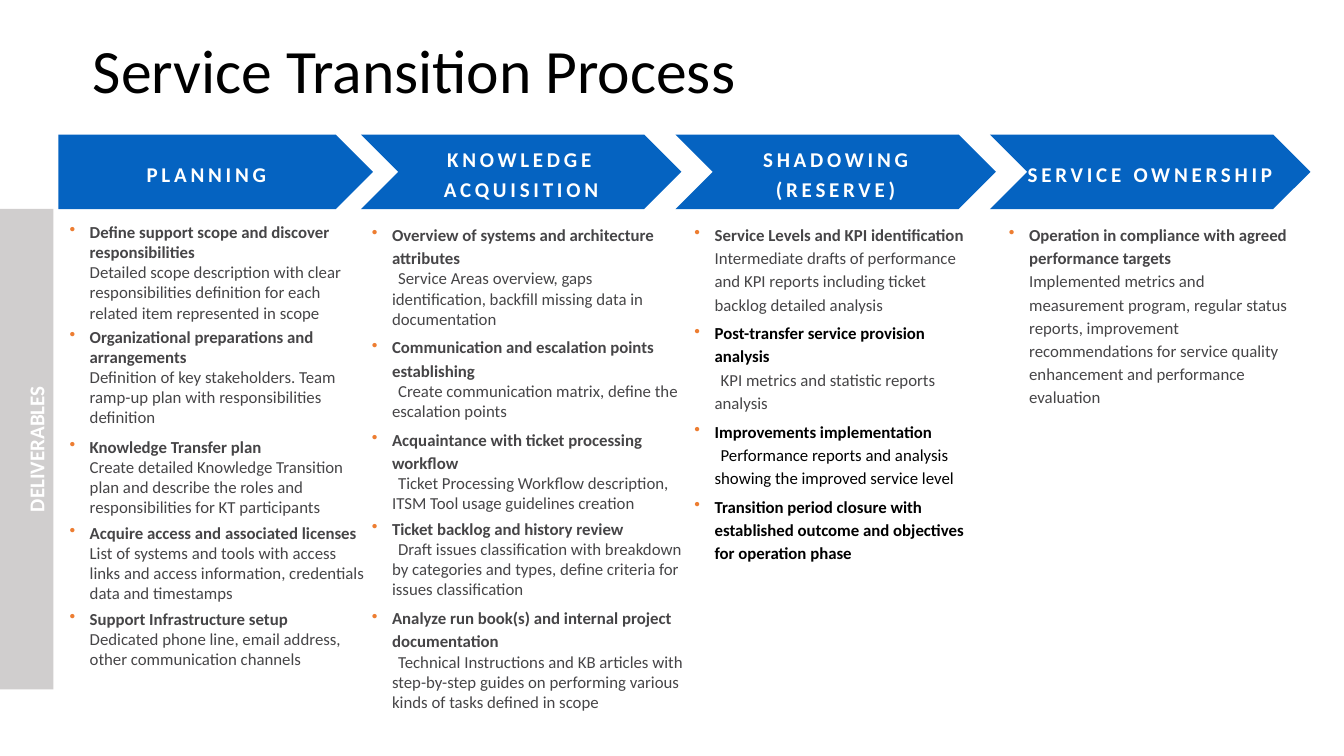
from dataclasses import dataclass

from lxml import etree
from pptx import Presentation, util as u
from pptx.dml.color import RGBColor
from pptx.enum import shapes as s, text as t
from pptx.oxml.ns import qn

HUES = {"blue": "0563C1", "grey": "D0CECE", "text": "464547",
        "dot": "ED7D31", "white": "FFFFFF", "black": "000000"}
FACE = "Calibri"
WIDE, HIGH = u.Inches(13.33), u.Inches(7.5)
COL, ROW = WIDE / 100, HIGH / 100  # the grid has 100 columns and 100 rows
STEP, START = 23.4, 3.45           # stage pitch and first left edge, in columns
HANG = u.Inches(0.2)
NUDGE = u.Inches(0.06)             # first-line indent of a body paragraph


@dataclass
class Item:
    head: str
    body: str = ""
    split: bool = False   # the body is a paragraph of its own
    lead: float = 1.0     # line spacing of the head
    flow: float = 1.0     # line spacing of a split body
    before: float = 0
    after: float = 0
    hue: str = "text"
    tone: str = "text"    # colour of a split body


@dataclass
class Stage:
    name: str
    left: float
    width: float
    height: float
    items: list[Item]


STAGES = [
    Stage("PLANNING", 4.2, 23.4, 63.6, [
        Item("Define support scope and discover responsibilities",
             "Detailed scope description with clear responsibilities definition "
             "for each related item represented in scope"),
        Item("Organizational preparations and arrangements",
             "Definition of key stakeholders. Team ramp-up plan with "
             "responsibilities definition", before=2.7, after=4),
        Item("Knowledge Transfer plan",
             "Create detailed Knowledge Transition plan and describe the roles "
             "and responsibilities for KT participants", before=2.7, after=4),
        Item("Acquire access and associated licenses",
             "List of systems and tools with access links and access "
             "information, credentials data and timestamps"),
        Item("Support Infrastructure setup",
             "Dedicated phone line, email address, other communication channels",
             before=4),
    ]),
    Stage("KNOWLEDGE ACQUISITION", 26.7, 24.23, 68.9, [
        Item("Overview of systems and architecture attributes",
             "Service Areas overview, gaps identification, backfill missing "
             "data in documentation", True, 1.15, after=4),
        Item("Communication and escalation points establishing",
             "Create communication matrix, define the escalation points",
             True, 1.15, after=4),
        Item("Acquaintance with ticket processing workflow",
             "Ticket Processing Workflow description, ITSM Tool usage "
             "guidelines creation", True, 1.15, after=4),
        Item("Ticket backlog and history review",
             "Draft issues classification with breakdown by categories and "
             "types, define criteria for issues classification", True, after=4),
        Item("Analyze run book(s) and internal project documentation",
             "Technical Instructions and KB articles with step-by-step guides "
             "on performing various kinds of tasks defined in scope", True, 1.15),
    ]),
    Stage("SHADOWING\n(RESERVE)", 50.7, 21.68, 69, [
        Item("Service Levels and KPI identification",
             "Intermediate drafts of performance and KPI reports including "
             "ticket backlog detailed analysis", lead=1.15, after=4),
        Item("Post-transfer service provision analysis",
             "KPI metrics and statistic reports analysis",
             True, 1.15, 1.15, after=4, hue="black"),
        Item("Improvements implementation",
             "Performance reports and analysis showing the improved service "
             "level", True, 1.15, 1.15, hue="black", tone="black"),
        Item("Transition period closure with established outcome and "
             "objectives for operation phase", lead=1.15, before=4, hue="black"),
    ]),
    Stage("SERVICE OWNERSHIP", 74.1, 21.98, 30, [
        Item("Operation in compliance with agreed performance targets",
             "Implemented metrics and measurement program, regular status "
             "reports, improvement recommendations for service quality "
             "enhancement and performance evaluation", lead=1.15),
    ]),
]


def place(left: float, top: float, width: float, height: float) -> list[int]:
    """Turn grid columns and rows into slide lengths."""
    return [round(left * COL), round(top * ROW),
            round(width * COL), round(height * ROW)]


def paint(para, size: float, hue: str, bold: bool | None = None) -> None:
    font = para.font
    font.name, font.size, font.bold = FACE, u.Pt(size), bold
    font.color.rgb = RGBColor.from_string(HUES[hue])


def space(para, lead, before: float = 0, after: float = 0) -> None:
    para.line_spacing = lead
    para.space_before, para.space_after = u.Pt(before), u.Pt(after)


def indent(para, first: int, dot: bool = False) -> None:
    props = para._p.get_or_add_pPr()
    props.set("marL", str(HANG))
    props.set("indent", str(first))
    if dot:
        tint = etree.SubElement(props, qn("a:buClr"))
        etree.SubElement(tint, qn("a:srgbClr")).set("val", HUES["dot"])
        etree.SubElement(props, qn("a:buChar")).set("char", "•")


def add_frame(slide, box: list[int], inset: float = 0):
    frame = slide.shapes.add_textbox(*box).text_frame
    frame.word_wrap = True
    frame.margin_left = u.Inches(inset)
    frame.margin_top = frame.margin_right = frame.margin_bottom = 0
    return frame


def add_block(slide, kind, box: list[int], hue: str):
    block = slide.shapes.add_shape(kind, *box)
    block.shadow.inherit = False
    block.fill.solid()
    block.fill.fore_color.rgb = RGBColor.from_string(HUES[hue])
    block.line.fill.background()
    return block


def next_para(frame):
    first = frame.paragraphs[0]
    return frame.add_paragraph() if first.runs else first


def add_arrow(slide, spot: int, name: str) -> None:
    left = START + spot * STEP
    if spot:
        kind, box = s.MSO_SHAPE.CHEVRON, place(left, 17.8, 23.85, 9.87)
    else:
        kind, box = s.MSO_SHAPE.PENTAGON, place(left + 0.9, 17.8, 23.4, 9.87)
    frame = add_block(slide, kind, box, "blue").text_frame
    frame.margin_left = frame.margin_right = 0
    frame.margin_top = frame.margin_bottom = 0
    frame.vertical_anchor = t.MSO_ANCHOR.MIDDLE
    lines = name.split("\n")
    for line in lines:
        para = next_para(frame)
        run = para.add_run()
        run.text = line
        run._r.get_or_add_rPr().set("spc", "270")
        para.alignment = t.PP_ALIGN.CENTER
        space(para, u.Pt(21.3), *((3.8, 4) if len(lines) == 1 else ()))
        paint(para, 15, "white", True)


def add_item(frame, item: Item) -> None:
    para = next_para(frame)
    indent(para, -HANG, dot=True)
    space(para, item.lead, item.before, 0 if item.split else item.after)
    paint(para, 12, item.hue)
    head = para.add_run()
    head.text, head.font.bold = item.head, True
    if item.split:
        body = frame.add_paragraph()
        body.add_run().text = item.body
        indent(body, NUDGE)
        space(body, item.flow, after=item.after)
        paint(body, 12, item.tone)
    elif item.body:
        para.add_line_break()
        para.add_run().text = item.body


def main() -> None:
    deck = Presentation()
    deck.slide_width, deck.slide_height = WIDE, HIGH
    slide = deck.slides.add_slide(deck.slide_layouts[6])

    title = add_frame(slide, place(6.9, 5.33, 89.27, 8.93)).paragraphs[0]
    title.add_run().text = "Service Transition Process"
    space(title, 0.9)
    paint(title, 44, "black")

    side = add_block(slide, s.MSO_SHAPE.RECTANGLE,
                     place(-15.9, 55.87, 35.78, 7.07), "grey")
    side.rotation = 270
    side.text_frame.vertical_anchor = t.MSO_ANCHOR.BOTTOM
    label = side.text_frame.paragraphs[0]
    label.add_run().text = "DELIVERABLES"
    label.alignment = t.PP_ALIGN.CENTER
    paint(label, 15, "white", True)

    for spot, stage in enumerate(STAGES):
        add_arrow(slide, spot, stage.name)
        frame = add_frame(slide, place(stage.left, 29.33, stage.width,
                                       stage.height), 0.13)
        for item in stage.items:
            add_item(frame, item)
    deck.save("out.pptx")


if __name__ == "__main__":
    main()
